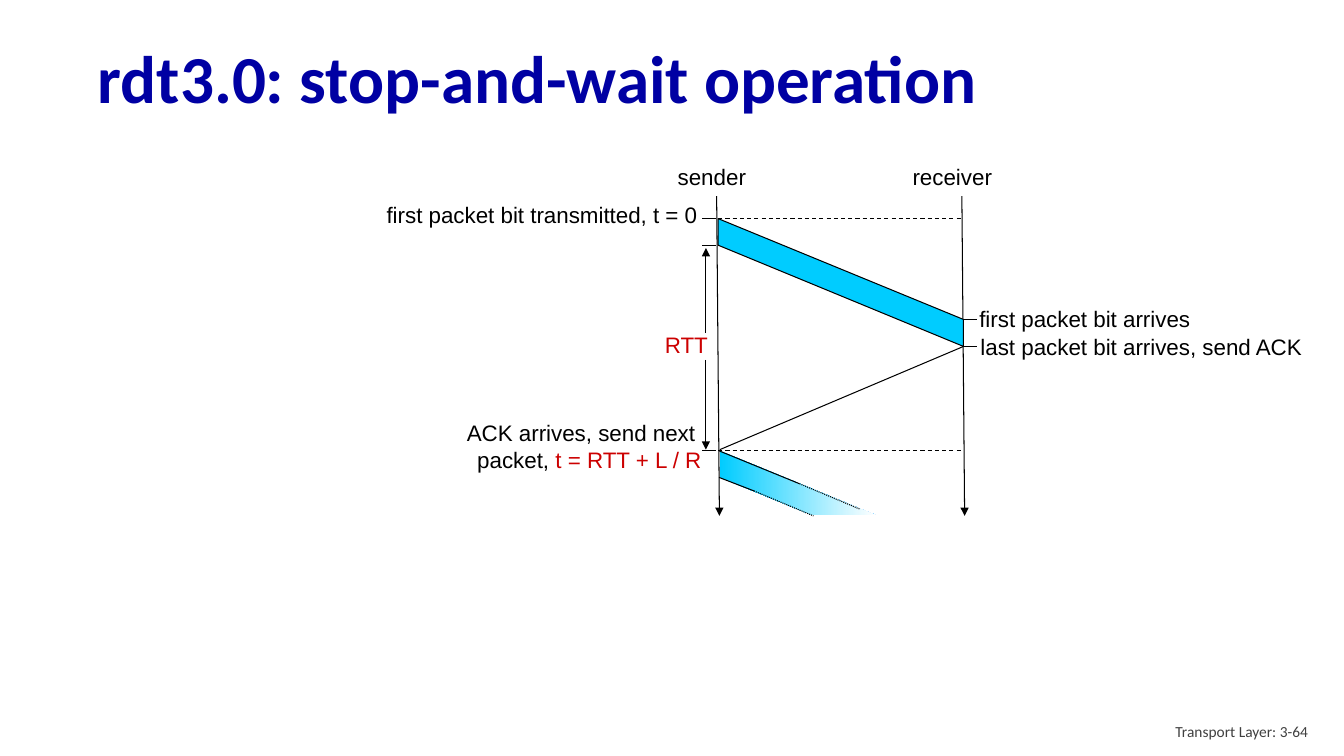
from dataclasses import dataclass

from pptx import Presentation
from pptx.dml.color import RGBColor
from pptx.enum.dml import MSO_LINE
from pptx.enum.shapes import MSO_CONNECTOR
from pptx.enum.text import MSO_ANCHOR, MSO_AUTO_SIZE, PP_ALIGN
from pptx.oxml.ns import qn
from pptx.oxml.xmlchemy import OxmlElement
from pptx.util import Cm, Pt

LEFT, RIGHT = PP_ALIGN.LEFT, PP_ALIGN.RIGHT
MIDDLE, TOP = MSO_ANCHOR.MIDDLE, MSO_ANCHOR.TOP
STRAIGHT = MSO_CONNECTOR.STRAIGHT
DASH, DOT = MSO_LINE.DASH, MSO_LINE.ROUND_DOT
TITLE_ONLY = 5


@dataclass(frozen=True)
class Theme:
    heading_font: str = "Calibri"
    label_font: str = "Arial"
    title_size: Pt = Pt(48)
    label_size: Pt = Pt(16)
    footer_size: Pt = Pt(11)
    line_width: Pt = Pt(0.75)
    navy: RGBColor = RGBColor(0x00, 0x00, 0xA3)
    black: RGBColor = RGBColor(0x00, 0x00, 0x00)
    red: RGBColor = RGBColor(0xCC, 0x00, 0x00)
    cyan: RGBColor = RGBColor(0x00, 0xCC, 0xFF)
    white: RGBColor = RGBColor(0xFF, 0xFF, 0xFF)
    grey: RGBColor = RGBColor(0x40, 0x40, 0x40)


THEME = Theme()

# Time-line positions in cm
SENDER_X, RECEIVER_X = 18.1, 24.28
FIRST_SENT, LAST_SENT = 5.51, 6.18
FIRST_ARRIVES, LAST_ARRIVES = 8.05, 8.73
ACK_ARRIVES = 11.36
TIME_END = 13.0


def style(paragraph, font, size, color, align=LEFT):
    paragraph.alignment = align
    paragraph.font.name = font
    paragraph.font.size = size
    paragraph.font.color.rgb = color


def add_title(slide, text):
    title = slide.shapes.title
    title.left, title.top, title.width, title.height = Cm(2.21), Cm(0.81), Cm(30.84), Cm(2.49)
    frame = title.text_frame
    frame.text = text
    frame.auto_size = MSO_AUTO_SIZE.NONE
    frame.vertical_anchor = MIDDLE
    paragraph = frame.paragraphs[0]
    style(paragraph, THEME.heading_font, THEME.title_size, THEME.navy)
    paragraph.font.bold = True
    paragraph.line_spacing = 0.9


def add_label(slide, box, lines, align=RIGHT, color=THEME.black,
              font=THEME.label_font, size=THEME.label_size, anchor=TOP):
    frame = slide.shapes.add_textbox(*map(Cm, box)).text_frame
    frame.word_wrap = True
    frame.vertical_anchor = anchor
    frame.text = "\n".join(lines)
    for paragraph in frame.paragraphs:
        style(paragraph, font, size, color, align)
    return frame


def add_line(slide, start, end, dash=None, arrow=False):
    connector = slide.shapes.add_connector(STRAIGHT, *map(Cm, (*start, *end)))
    connector.line.color.rgb = THEME.black
    connector.line.width = THEME.line_width
    if dash:
        connector.line.dash_style = dash
    properties = connector._element.spPr
    if arrow:
        tail = OxmlElement("a:tailEnd")
        tail.set("type", "triangle")
        properties.find(qn("a:ln")).append(tail)
    properties.append(OxmlElement("a:effectLst"))


def add_band(slide, points):
    first, *rest = [(Cm(x), Cm(y)) for x, y in points]
    builder = slide.shapes.build_freeform(*first, scale=1.0)
    builder.add_line_segments(rest, close=True)
    band = builder.convert_to_shape()
    band.shadow.inherit = False
    return band


def add_labels(slide):
    add_label(slide, (16.59, 3.99, 2.46, 0.97), ["sender"])
    add_label(slide, (22.63, 3.99, 2.62, 0.97), ["receiver"])
    add_label(slide, (8.86, 4.95, 8.97, 0.97), ["first packet bit transmitted, t = 0"])
    add_label(slide, (15.75, 8.23, 2.34, 0.94), ["RTT"], color=THEME.red)
    add_label(slide, (24.43, 7.57, 6.73, 0.97), ["first packet bit arrives"], LEFT)
    add_label(slide, (24.46, 8.28, 8.64, 0.97), ["last packet bit arrives, send ACK"], LEFT)
    ack = add_label(slide, (10.49, 10.44, 7.44, 1.75), ["ACK arrives, send next ", "packet, "])
    elapsed = ack.paragraphs[1].add_run()
    elapsed.text = "t = RTT + L / R"
    elapsed.font.color.rgb = THEME.red


def add_timelines(slide):
    for x in (SENDER_X, RECEIVER_X):
        add_line(slide, (x - 0.04, 4.94), (x + 0.03, TIME_END), arrow=True)
    for y in (FIRST_SENT, ACK_ARRIVES):
        add_line(slide, (SENDER_X, y), (24.22, y), dash=DASH)
    # Event ticks
    for y in (FIRST_SENT, LAST_SENT, ACK_ARRIVES):
        add_line(slide, (18.05, y), (17.68, y))
    for y in (FIRST_ARRIVES, LAST_ARRIVES):
        add_line(slide, (24.25, y), (24.62, y))
    # Round-trip span, open around its label
    add_line(slide, (17.79, 9.07), (17.79, 11.33), arrow=True)
    add_line(slide, (17.79, 8.38), (17.79, 6.25), arrow=True)


def add_packets(slide):
    # First packet and its acknowledgement
    packet = add_band(slide, [(SENDER_X, FIRST_SENT), (RECEIVER_X, FIRST_ARRIVES),
                              (RECEIVER_X, LAST_ARRIVES), (SENDER_X, LAST_SENT)])
    packet.fill.solid()
    packet.fill.fore_color.rgb = THEME.cyan
    packet.line.color.rgb = THEME.black
    packet.line.width = THEME.line_width
    add_line(slide, (RECEIVER_X, LAST_ARRIVES), (18.14, 11.33))

    # Next packet, fading out
    next_last = ACK_ARRIVES + LAST_SENT - FIRST_SENT
    next_packet = add_band(slide, [(18.14, ACK_ARRIVES), (22.07, 12.98),
                                   (20.47, 12.98), (18.14, next_last)])
    next_packet.fill.gradient()
    next_packet.fill.gradient_angle = 0
    for stop, position, color in zip(next_packet.fill.gradient_stops, (0, 1),
                                     (THEME.cyan, THEME.white)):
        stop.position = position
        stop.color.rgb = color
    next_packet.line.fill.background()
    for start, bend, end in (((18.12, ACK_ARRIVES), (20.15, 12.19), (21.67, 12.83)),
                             ((18.12, next_last), (19.0, 12.37), (20.5, TIME_END))):
        add_line(slide, start, bend)
        add_line(slide, bend, end, dash=DOT)


def main():
    presentation = Presentation()
    presentation.slide_width, presentation.slide_height = Cm(33.87), Cm(19.05)
    slide = presentation.slides.add_slide(presentation.slide_layouts[TITLE_ONLY])
    add_title(slide, "rdt3.0: stop-and-wait operation")
    add_labels(slide)
    add_timelines(slide)
    add_packets(slide)
    # Footer
    add_label(slide, (25.6, 17.91, 7.62, 1.02), ["Transport Layer: 3-64"], color=THEME.grey,
              font=THEME.heading_font, size=THEME.footer_size, anchor=MIDDLE)
    presentation.save("out.pptx")


if __name__ == "__main__":
    main()
